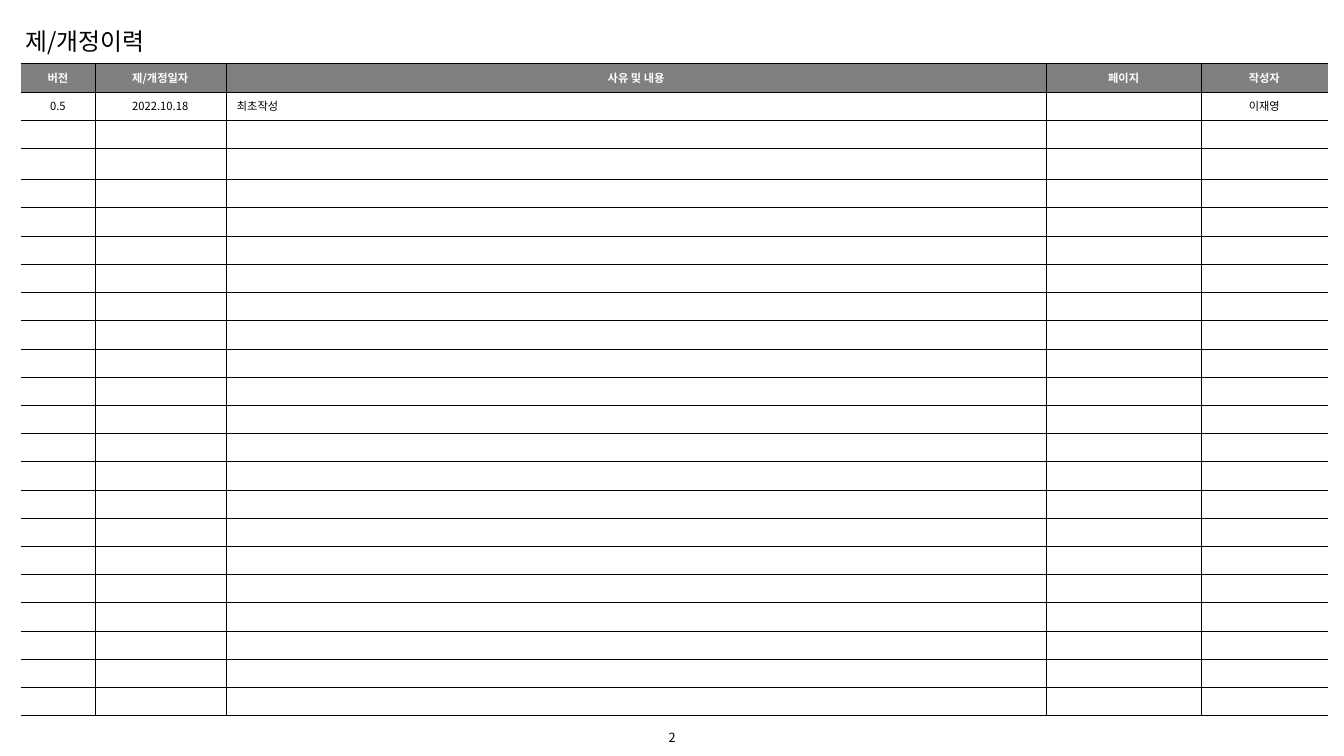
from lxml import etree
from pptx import Presentation
from pptx import util as u
from pptx.dml.color import RGBColor
from pptx.enum import text
from pptx.oxml import ns

FONT = "Noto Sans CJK KR"
BLACK, WHITE, GRAY = "000000", "FFFFFF", "808080"
SLIDE_W, SLIDE_H = 13.33, 7.5
MARGIN = 0.21
COLUMNS = [0.73, 1.3, 8.14, 1.53, 1.26]
ROWS = [0.28] * 3 + [0.31] + [0.28] * 19
HEADINGS = ["버전", "제/개정일자", "사유 및 내용", "페이지", "작성자"]
REVISIONS = [["0.5", "2022.10.18", "최초작성", "", "이재영"]]
REASON = HEADINGS.index("사유 및 내용")
CENTER, LEFT = text.PP_ALIGN.CENTER, text.PP_ALIGN.LEFT


def rgb(value):
    return RGBColor.from_string(value)


def write(p, words, size, color=BLACK, bold=False, align=LEFT):
    """Fill a paragraph and set its Latin and East Asian font."""
    p.alignment = align
    p.font.name, p.font.size, p.font.bold = FONT, u.Pt(size), bold
    p.font.color.rgb = rgb(color)
    font = p._p.pPr.find(ns.qn("a:defRPr"))
    etree.SubElement(font, ns.qn("a:ea"), typeface=FONT)
    if words:
        p.add_run().text = words
    else:
        etree.SubElement(p._p, ns.qn("a:endParaRPr"), sz=str(size * 100))


def set_borders(cell, widths):
    """Draw the left, right, top and bottom lines; a width of 0 hides one."""
    tcPr = cell._tc.get_or_add_tcPr()
    for i, (side, width) in enumerate(zip("LRTB", widths)):
        ln = etree.Element(ns.qn(f"a:ln{side}"), w=str(u.Pt(width)))
        if width:
            fill = etree.SubElement(ln, ns.qn("a:solidFill"))
            etree.SubElement(fill, ns.qn("a:srgbClr"), val=BLACK)
        else:
            etree.SubElement(ln, ns.qn("a:noFill"))
        tcPr.insert(i, ln)


def add_label(s, box, words, size, align=LEFT, inset=0.04):
    sp = s.shapes.add_textbox(*map(u.Inches, box))
    tf = sp.text_frame
    tf.word_wrap = True
    tf.vertical_anchor = text.MSO_ANCHOR.MIDDLE
    tf.margin_left = tf.margin_right = u.Inches(inset)
    tf.margin_top = tf.margin_bottom = u.Inches(inset)
    write(tf.paragraphs[0], words, size, align=align)
    return tf


def add_title(s, box):
    tf = add_label(s, box, "제/개정이력", 17)
    tf.auto_size = text.MSO_AUTO_SIZE.SHAPE_TO_FIT_TEXT
    tf.paragraphs[0].line_spacing = 1.5


def add_history(s, left, top):
    frame = s.shapes.add_table(len(ROWS), len(COLUMNS), u.Inches(left), u.Inches(top),
                               u.Inches(sum(COLUMNS)), u.Inches(sum(ROWS)))
    table = frame.table
    table.first_row = table.horz_banding = False
    for column, width in zip(table.columns, COLUMNS):
        column.width = u.Inches(width)
    for row, height in zip(table.rows, ROWS):
        row.height = u.Inches(height)

    blank = [[""] * len(COLUMNS)] * (len(ROWS) - 1 - len(REVISIONS))
    for r, entries in enumerate([HEADINGS] + REVISIONS + blank):
        head = r == 0
        for c, words in enumerate(entries):
            cell = table.cell(r, c)
            cell.vertical_anchor = text.MSO_ANCHOR.MIDDLE
            cell.margin_left = cell.margin_right = u.Inches(0.11)
            cell.margin_top = cell.margin_bottom = u.Inches(0.05)
            if head:
                cell.fill.solid()
                cell.fill.fore_color.rgb = rgb(GRAY)
            else:
                cell.fill.background()
            set_borders(cell, [0.25 if c else 0,
                               0.25 if c < len(COLUMNS) - 1 else 0,
                               1 if head else 0.25, 0.25])
            write(cell.text_frame.paragraphs[0], words, 8, WHITE if head else BLACK,
                  head, CENTER if head or c != REASON else LEFT)


def main():
    prs = Presentation()
    prs.slide_width, prs.slide_height = u.Inches(SLIDE_W), u.Inches(SLIDE_H)
    s = prs.slides.add_slide(prs.slide_layouts[6])
    add_label(s, ((SLIDE_W - 2.58) / 2, 7.19, 2.58, 0.25), "2", 9, CENTER)
    add_history(s, MARGIN, 0.63)
    add_title(s, (MARGIN, 0.11, 2.26, 0.46))
    prs.save("out.pptx")


if __name__ == "__main__":
    main()
